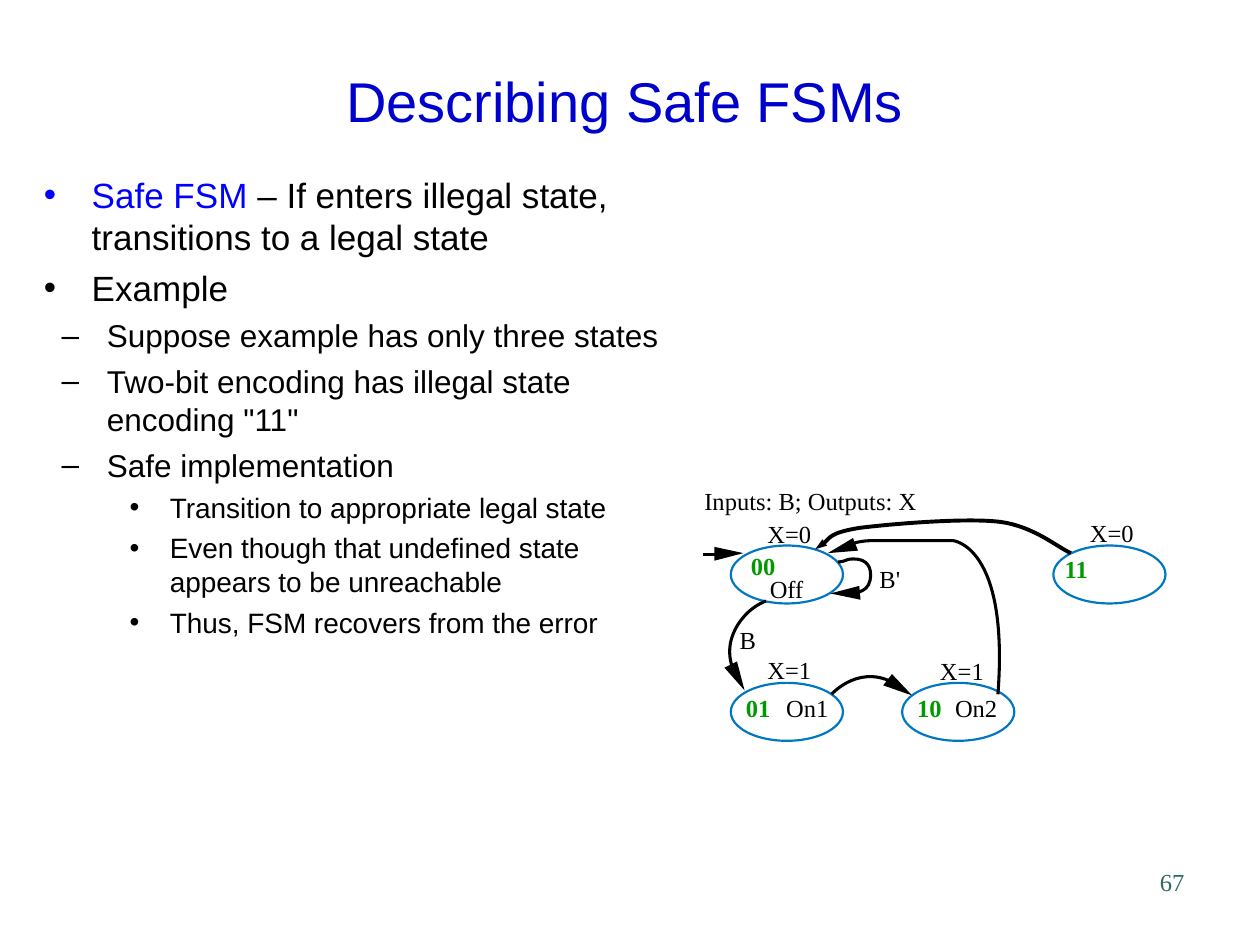
from lxml import etree
from pptx import Presentation
from pptx.dml.color import RGBColor
from pptx.enum.shapes import MSO_CONNECTOR, MSO_SHAPE
from pptx.enum.text import MSO_ANCHOR, PP_ALIGN
from pptx.oxml.ns import qn
from pptx.util import Inches, Pt

OVAL = MSO_SHAPE.OVAL
STRAIGHT = MSO_CONNECTOR.STRAIGHT
MIDDLE = MSO_ANCHOR.MIDDLE
LEFT, CENTER, RIGHT = PP_ALIGN.LEFT, PP_ALIGN.CENTER, PP_ALIGN.RIGHT
SANS, SERIF = "Arial", "Times New Roman"
COLORS = {"title": "0000CC", "term": "0000FF", "text": "000000",
          "code": "009900", "state": "0078C1", "number": "336666"}

LEVELS = [(0.38, -0.38, 20, 5, "•"), (0.5, -0.36, 18, 4.5, "–"), (1, -0.32, 16, 4, "•")]
BULLETS = [
    (0, "Safe FSM ", "– If enters illegal state, transitions to a legal state"),
    (0, "", "Example"),
    (1, "", "Suppose example has only three states"),
    (1, "", "Two-bit encoding has illegal state encoding \"11\""),
    (1, "", "Safe implementation"),
    (2, "", "Transition to appropriate legal state"),
    (2, "", "Even though that undefined state appears to be unreachable"),
    (2, "", "Thus, FSM recovers from the error"),
]
STATES = [(5.8, 4.33), (5.8, 5.42), (7.16, 5.42), (8.36, 4.33)]
CODES = [("00", 5.96, 4.37), ("01", 5.92, 5.5), ("10", 7.28, 5.5), ("11", 8.45, 4.4)]
LABELS = [
    ("Inputs: B; Outputs: X", 5.59, 3.86, 1.69),
    ("X=0", 6.09, 4.12, 0.35), ("X=0", 8.65, 4.11, 0.35),
    ("X=1", 6.09, 5.2, 0.35), ("X=1", 7.46, 5.21, 0.35),
    ("B", 5.87, 4.96, 0.13), ("B'", 6.98, 4.48, 0.17),
    ("Off", 6.11, 4.56, 0.27), ("On1", 6.24, 5.5, 0.34), ("On2", 7.58, 5.5, 0.34),
]
TRANSITIONS = [
    [(6.6, 5.51), (6.6, 5.51), (6.84, 5.24), (7.14, 5.45)],
    [(5.85, 5.38), (5.67, 5.06), (5.96, 4.84), (5.96, 4.84),
     (5.96, 4.84), (6.02, 4.79), (6.08, 4.77)],
    [(6.65, 4.46), (6.68, 4.46), (6.71, 4.45), (6.73, 4.44), (6.86, 4.42),
     (6.91, 4.48), (6.91, 4.56), (6.91, 4.7), (6.81, 4.71), (6.69, 4.71)],
    [(6.72, 4.34), (6.76, 4.31), (6.83, 4.29), (6.94, 4.29), (7.56, 4.29),
     (7.56, 4.29), (7.56, 4.29), (7.56, 4.29), (8.01, 4.32), (7.92, 5.51)],
]
RECOVERY = [(8.5, 4.39), (8.4, 4.35), (8.2, 4.17), (7.92, 4.14), (7.64, 4.11),
            (7.06, 4.16), (6.82, 4.19), (6.58, 4.23), (6.54, 4.33), (6.47, 4.36)]
ARROWHEADS = [
    [(5.9, 4.39), (5.67, 4.34), (5.67, 4.45)],
    [(7.24, 5.52), (7.08, 5.35), (7.01, 5.44)],
    [(6.59, 4.71), (6.83, 4.76), (6.82, 4.65)],
    [(6.57, 4.39), (6.81, 4.37), (6.77, 4.27)],
    [(5.91, 5.48), (5.75, 5.3), (5.85, 5.25)],
]


def color(name):
    """Return the named colour."""
    return RGBColor.from_string(COLORS[name])


def style(font, name, size, color_name, bold=False):
    """Set the look of a font."""
    font.name, font.size, font.bold = name, Pt(size), bold
    font.color.rgb = color(color_name)


def add_title(slide, text):
    """Fill and place the title placeholder."""
    title = slide.shapes.title
    title.left, title.top = Inches(0.25), Inches(0.33)
    title.width, title.height = Inches(9.42), Inches(0.93)
    title.text_frame.text = text
    title.text_frame.vertical_anchor = MIDDLE
    paragraph = title.text_frame.paragraphs[0]
    paragraph.alignment = CENTER
    style(paragraph.runs[0].font, SANS, 32, "title")


def add_bullets(slide):
    """Add the bulleted text on the left."""
    box = slide.shapes.add_textbox(Inches(0.25), Inches(1.33), Inches(5.26), Inches(5.51))
    frame = box.text_frame
    frame.word_wrap = True
    for index, (level, term, text) in enumerate(BULLETS):
        margin, indent, size, space, bullet = LEVELS[level]
        paragraph = frame.add_paragraph() if index else frame.paragraphs[0]
        paragraph.level = level
        if index:
            paragraph.space_before = Pt(space)
        properties = paragraph._p.get_or_add_pPr()
        properties.set("marL", str(Inches(margin)))
        properties.set("indent", str(Inches(indent)))
        bullet_color = etree.SubElement(properties, qn("a:buClr"))
        etree.SubElement(bullet_color, qn("a:srgbClr"), val=COLORS["term" if term else "text"])
        etree.SubElement(properties, qn("a:buFont"), typeface=SANS)
        etree.SubElement(properties, qn("a:buChar"), char=bullet)
        for content, color_name in ((term, "term"), (text, "text")):
            if content:
                run = paragraph.add_run()
                run.text = content
                style(run.font, SANS, size, color_name)


def add_label(slide, text, left, top, width, color_name="text", bold=False, align=LEFT):
    """Add one unwrapped line of serif text without margins."""
    box = slide.shapes.add_textbox(Inches(left), Inches(top), Inches(width), Inches(0.23))
    frame = box.text_frame
    frame.margin_left = frame.margin_right = frame.margin_top = frame.margin_bottom = 0
    frame.word_wrap = False
    frame.text = text
    paragraph = frame.paragraphs[0]
    paragraph.alignment = align
    style(paragraph.runs[0].font, SERIF, 14, color_name, bold)


def add_state(slide, left, top):
    """Add the outline of a state."""
    shape = slide.shapes.add_shape(OVAL, Inches(left), Inches(top), Inches(0.89), Inches(0.46))
    shape.shadow.inherit = False
    shape.fill.background()
    shape.line.color.rgb = color("state")
    shape.line.width = Pt(1.25)


def add_outline(slide, points, close):
    """Build a freeform through points given in inches."""
    scaled = [(Inches(x), Inches(y)) for x, y in points]
    builder = slide.shapes.build_freeform(*scaled[0])
    builder.add_line_segments(scaled[1:], close=close)
    shape = builder.convert_to_shape()
    shape.shadow.inherit = False
    return shape


def add_arrowhead(slide, points):
    """Add a solid triangular arrowhead."""
    shape = add_outline(slide, points, True)
    shape.fill.solid()
    shape.fill.fore_color.rgb = color("text")
    shape.line.fill.background()


def add_curve(slide, controls, width=1.75):
    """Add a transition of joined cubic curves."""
    shape = add_outline(slide, controls, False)
    outline = next(shape._element.iter(qn("a:path")))
    segments = outline.findall(qn("a:lnTo"))
    for first in range(0, len(segments), 3):
        cubic = etree.SubElement(outline, qn("a:cubicBezTo"))
        for segment in segments[first:first + 3]:
            cubic.append(segment[0])
            outline.remove(segment)
    shape.fill.background()
    shape.line.color.rgb = color("text")
    shape.line.width = Pt(width)
    return shape


def add_start_line(slide):
    """Add the short line into the initial state."""
    line = slide.shapes.add_connector(STRAIGHT, Inches(5.58), Inches(4.4), Inches(5.74), Inches(4.4))
    line.line.color.rgb = color("text")
    line.line.width = Pt(1.75)
    etree.SubElement(line._element.spPr, qn("a:effectLst"))


def main():
    """Build and save the slide."""
    presentation = Presentation()
    presentation.slide_width, presentation.slide_height = Inches(10), Inches(7.5)
    slide = presentation.slides.add_slide(presentation.slide_layouts[5])
    add_title(slide, "Describing Safe FSMs")
    add_bullets(slide)
    for state in STATES:
        add_state(slide, *state)
    for controls in TRANSITIONS:
        add_curve(slide, controls)
    recovery = add_curve(slide, RECOVERY, 2.25)
    etree.SubElement(recovery.line._get_or_add_ln(), qn("a:tailEnd"), type="triangle", w="sm")
    add_start_line(slide)
    for points in ARROWHEADS:
        add_arrowhead(slide, points)
    for label in LABELS:
        add_label(slide, *label)
    for text, left, top in CODES:
        add_label(slide, text, left, top, 0.2, "code", True)
    add_label(slide, "67", 7.52, 6.88, 1.88, "number", align=RIGHT)
    presentation.save("out.pptx")


if __name__ == "__main__":
    main()
